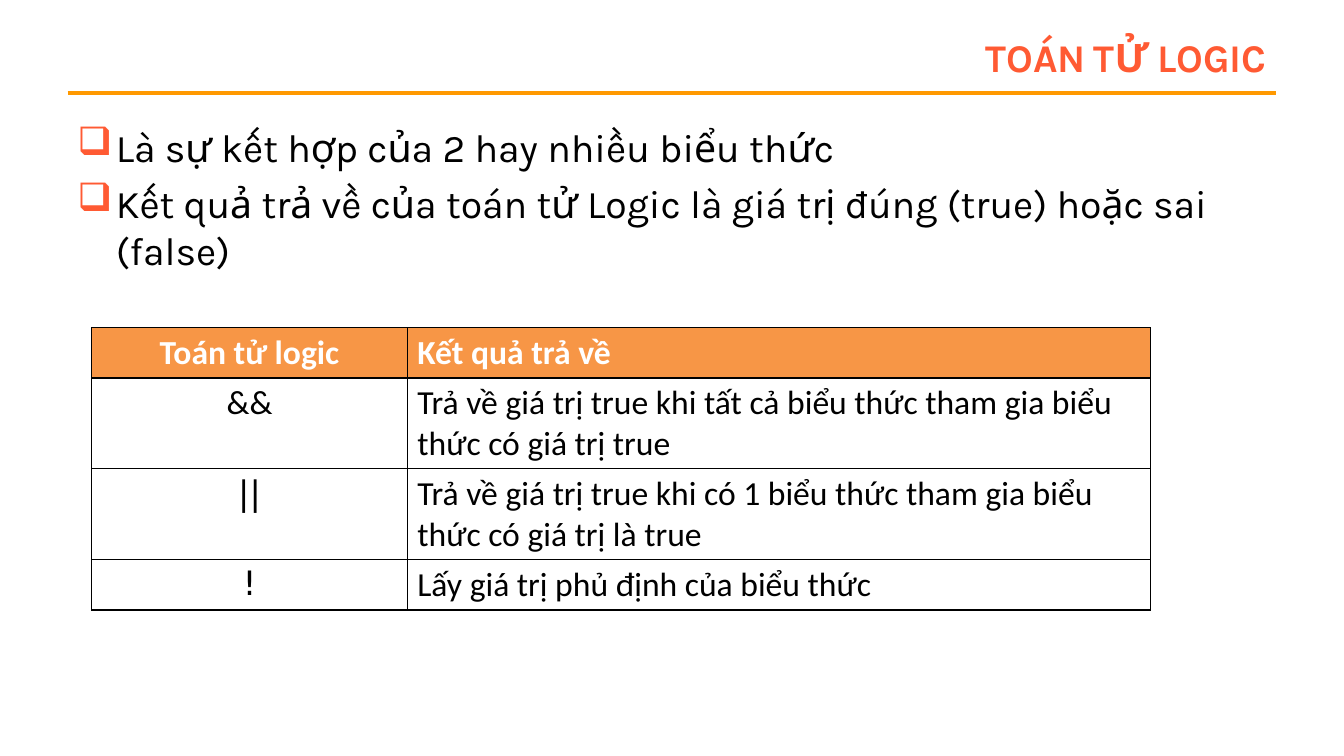
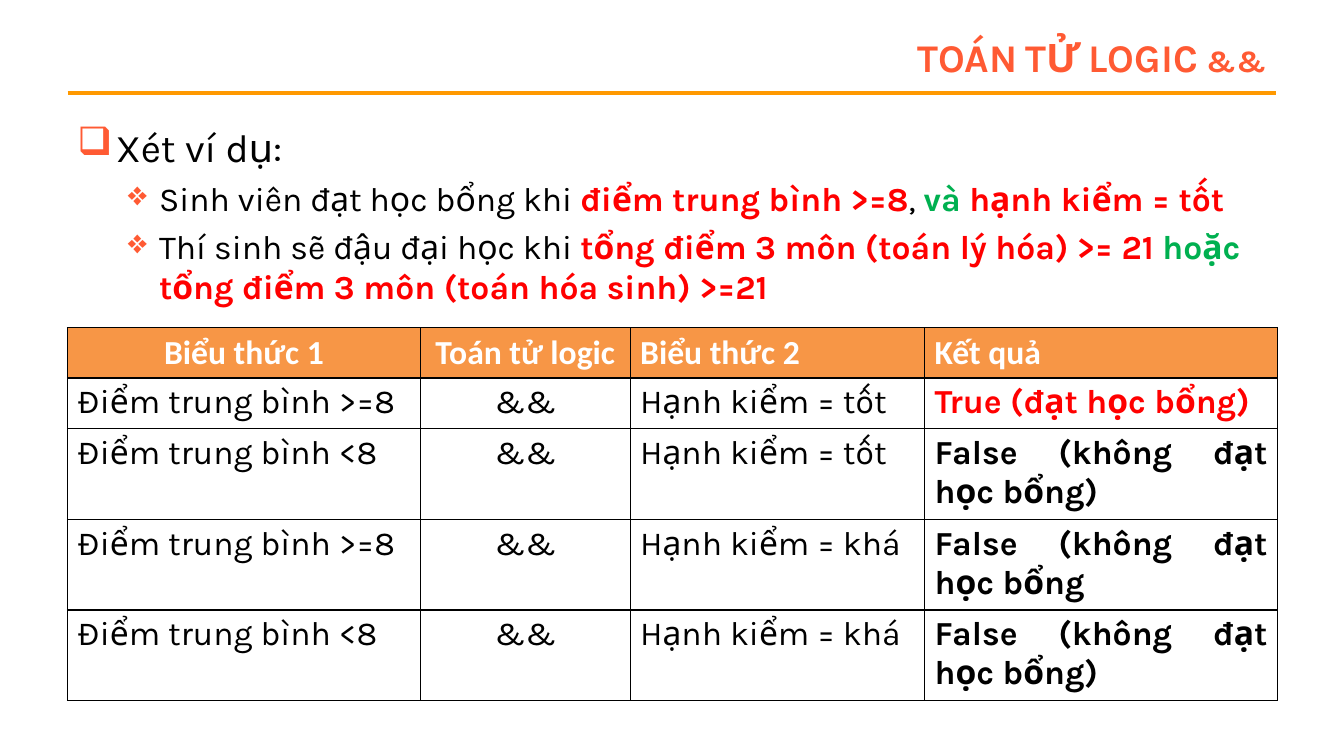
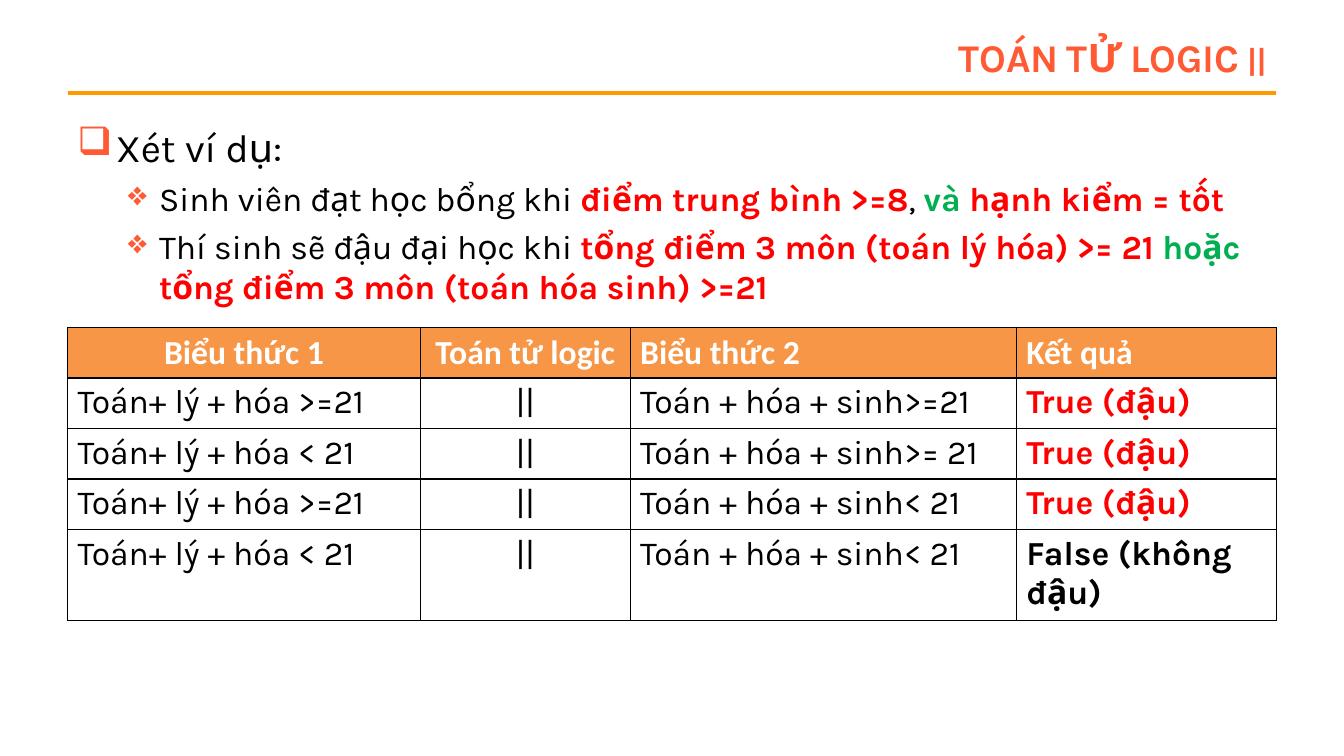
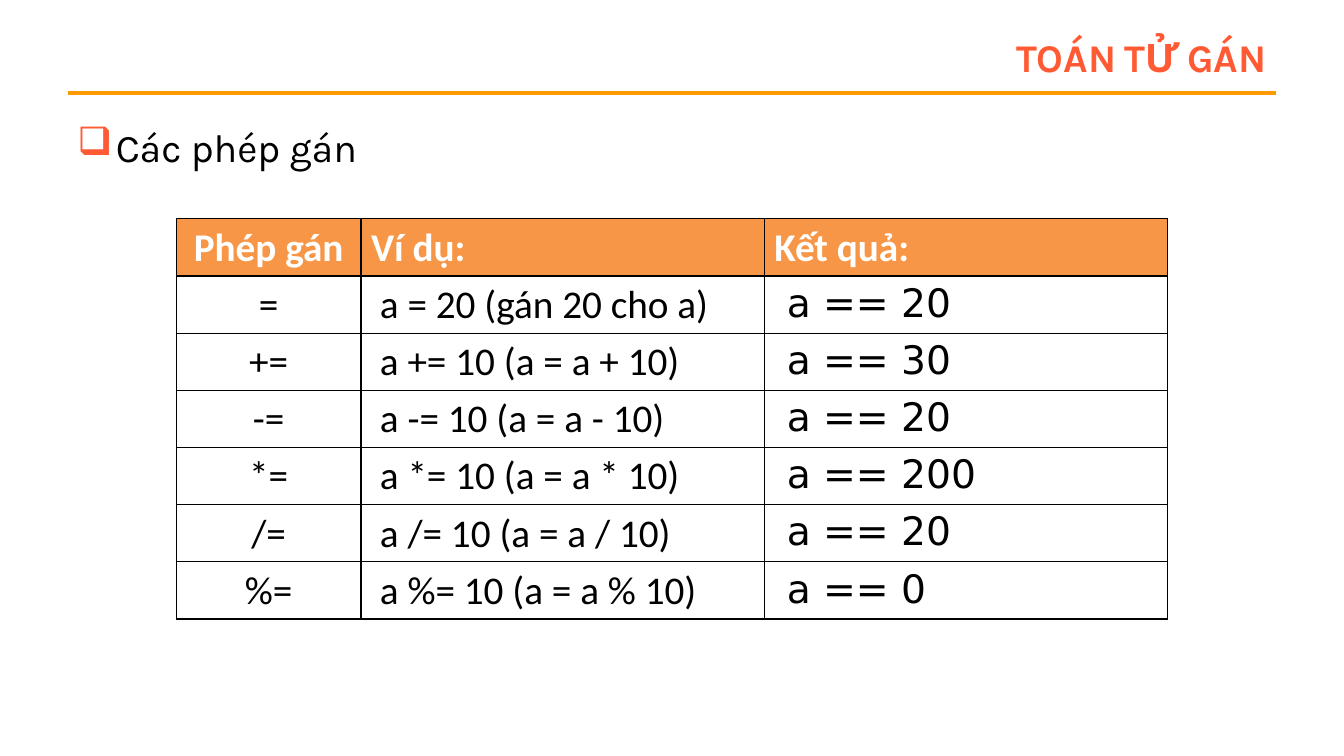
from lxml import etree
from pptx import Presentation
from pptx.dml.color import RGBColor
from pptx.enum import shapes, text
from pptx.oxml.ns import qn
from pptx.util import Inches, Pt

# Shared look
ACCENT, RULE, HEADER = "FF5A33", "FF9900", "F79646"
BLACK, WHITE, RED, GREEN = "000000", "FFFFFF", "FF0000", "00B050"
KARLA, CALIBRI, DEJAVU = "Karla", "Calibri", "DejaVu Sans"
ALIGN = {"l": text.PP_ALIGN.LEFT, "c": text.PP_ALIGN.CENTER,
         "r": text.PP_ALIGN.RIGHT, "j": text.PP_ALIGN.JUSTIFY}
LEFT, RIGHT = 0.67, 12.66
ROW_HEIGHT = 0.41
LEVELS = [
    {"bullet": "❑", "margin": 0.38, "hang": 0.38, "size": 28, "before": 6.5},
    {"bullet": "❖", "margin": 0.81, "hang": 0.31, "size": 24, "before": 5.5},
]

# Run styles: colour, bold
PLAIN, KEY, JOINER = (BLACK, False), (RED, True), (GREEN, True)

# Content: each bullet is a level and its runs
EXAMPLES = [
    (0, [("Xét ví dụ:", PLAIN)]),
    (1, [("Sinh viên đạt học bổng khi ", PLAIN), ("điểm trung bình >=8", KEY),
         (", ", PLAIN), ("và ", JOINER), ("hạnh kiểm = tốt", KEY)]),
    (1, [("Thí sinh sẽ đậu đại học khi ", PLAIN),
         ("tổng điểm 3 môn (toán lý hóa) >= 21 ", KEY), ("hoặc ", JOINER),
         ("tổng điểm 3 môn (toán hóa sinh) >=21", KEY)]),
]
EXPRESSION_HEAD = ["Biểu thức 1", "Toán tử logic", "Biểu thức 2", "Kết quả"]

# "fonts" and "aligns" hold one entry per column; "verdict" marks a bold last column
SLIDES = [
    {"title": "TOÁN TỬ LOGIC",
     "bullets": [
         (0, [("Là sự kết hợp của 2 hay nhiều biểu thức", PLAIN)]),
         (0, [("Kết quả trả về của toán tử Logic là giá trị đúng (true) "
               "hoặc sai (false)", PLAIN)])],
     "table": {
         "at": (0.91, 3.25), "columns": [3.13, 7.37], "size": 24,
         "head_aligns": "cl", "aligns": "cl", "fonts": [DEJAVU, CALIBRI],
         "head": ["Toán tử logic", "Kết quả trả về"],
         "rows": [
             [("&&", CALIBRI), "Trả về giá trị true khi tất cả biểu thức tham gia "
              "biểu thức có giá trị true"],
             ["||", "Trả về giá trị true khi có 1 biểu thức tham gia "
              "biểu thức có giá trị là true"],
             ["!", "Lấy giá trị phủ định của biểu thức"]]}},
    {"title": "TOÁN TỬ LOGIC &&",
     "bullets": EXAMPLES,
     "table": {
         "at": (LEFT, 3.25), "columns": [3.5, 2.08, 2.92, 3.5], "size": 24,
         "head_aligns": "ccll", "aligns": "jcjj", "fonts": [KARLA] * 4,
         "verdict": True, "head": EXPRESSION_HEAD,
         "rows": [
             ["Điểm trung bình >=8", "&&", "Hạnh kiểm = tốt", "True (đạt học bổng)"],
             ["Điểm trung bình <8", "&&", "Hạnh kiểm = tốt", "False (không đạt học bổng)"],
             ["Điểm trung bình >=8", "&&", "Hạnh kiểm = khá", "False (không đạt học bổng"],
             ["Điểm trung bình <8", "&&", "Hạnh kiểm = khá", "False (không đạt học bổng)"]]}},
    {"title": "TOÁN TỬ LOGIC ||",
     "bullets": EXAMPLES,
     "table": {
         "at": (LEFT, 3.25), "columns": [3.5, 2.08, 3.83, 2.58], "size": 24,
         "head_aligns": "ccll", "aligns": "jcjl", "fonts": [KARLA] * 4,
         "verdict": True, "head": EXPRESSION_HEAD,
         "rows": [
             ["Toán+ lý + hóa >=21", "||", "Toán + hóa + sinh>=21", "True (đậu)"],
             ["Toán+ lý + hóa < 21", "||", "Toán + hóa + sinh>= 21", "True (đậu)"],
             ["Toán+ lý + hóa >=21", "||", "Toán + hóa + sinh< 21", "True (đậu)"],
             ["Toán+ lý + hóa < 21", "||", "Toán + hóa + sinh< 21", "False (không đậu)"]]}},
    {"title": "TOÁN TỬ GÁN",
     "bullets": [(0, [("Các phép gán", PLAIN)])],
     "table": {
         "at": (1.75, 2.17), "columns": [1.83, 4, 4], "size": 28,
         "head_aligns": "cll", "aligns": "cll", "fonts": [CALIBRI, CALIBRI, DEJAVU],
         "head": ["Phép gán", "Ví dụ:", "Kết quả:"],
         "rows": [
             ["=", " a = 20 (gán 20 cho a)", " a == 20"],
             ["+=", " a += 10 (a = a + 10)", " a == 30"],
             ["-=", " a -= 10 (a = a - 10)", " a == 20"],
             ["*=", " a *= 10 (a = a * 10)", " a == 200"],
             ["/=", " a /= 10 (a = a / 10)", " a == 20"],
             ["%=", " a %= 10 (a = a % 10)", " a == 0"]]}},
]


def color(value):
    return RGBColor.from_string(value)


def add_run(para, words, ink, **font):
    span = para.add_run()
    span.text = words
    span.font.color.rgb = color(ink)
    for name, value in font.items():
        setattr(span.font, name, value)
    return span


def add_box(page, left, top, width, height, anchor):
    frame = page.shapes.add_textbox(*map(Inches, (left, top, width, height))).text_frame
    frame.word_wrap = True
    frame.vertical_anchor = anchor
    return frame


def add_heading(page, title):
    rule = page.shapes.add_connector(shapes.MSO_CONNECTOR.STRAIGHT, Inches(LEFT),
                                     Inches(0.92), Inches(RIGHT), Inches(0.92))
    rule.line.color.rgb = color(RULE)
    rule.line.width = Pt(3)
    etree.SubElement(rule._element.spPr, qn("a:effectLst"))
    para = add_box(page, 3, 0.3, 9.66, 0.53, text.MSO_ANCHOR.MIDDLE).paragraphs[0]
    para.alignment = ALIGN["r"]
    span = add_run(para, title, ACCENT, name=KARLA, size=Pt(28), bold=True)
    span.font._element.set("cap", "small")


def set_bullet(para, level):
    props = para._p.get_or_add_pPr()
    props.set("marL", str(Inches(level["margin"])))
    props.set("indent", str(-Inches(level["hang"])))
    ink = etree.SubElement(props, qn("a:buClr"))
    etree.SubElement(ink, qn("a:srgbClr"), val=ACCENT)
    etree.SubElement(props, qn("a:buChar"), char=level["bullet"])


def add_bullets(page, bullets):
    frame = add_box(page, LEFT, 1.17, 12, 5.75, text.MSO_ANCHOR.TOP)
    for index, (depth, runs) in enumerate(bullets):
        para = frame.add_paragraph() if index else frame.paragraphs[0]
        level = LEVELS[depth]
        para.level = depth
        para.space_before = Pt(level["before"])
        set_bullet(para, level)
        for words, (ink, bold) in runs:
            add_run(para, words, ink, name=KARLA, size=Pt(level["size"]), bold=bold)


def set_borders(cell):
    props = cell._tc.get_or_add_tcPr()
    for index, side in enumerate(("lnL", "lnR", "lnT", "lnB")):
        line = etree.Element(qn("a:" + side), w=str(Pt(1)))
        fill = etree.SubElement(line, qn("a:solidFill"))
        etree.SubElement(fill, qn("a:srgbClr"), val=BLACK)
        props.insert(index, line)


def add_table(page, data):
    lines = [data["head"]] + data["rows"]
    widths = data["columns"]
    size = (*data["at"], sum(widths), ROW_HEIGHT * len(lines))
    table = page.shapes.add_table(len(lines), len(widths), *map(Inches, size)).table
    table.horz_banding = table.first_row = False
    for column, width in zip(table.columns, widths):
        column.width = Inches(width)
    for r, line in enumerate(lines):
        for c, entry in enumerate(line):
            head = r == 0
            words, font = entry if isinstance(entry, tuple) else (entry, data["fonts"][c])
            verdict = data.get("verdict", False) and c == len(widths) - 1
            ink = WHITE if head else RED if verdict and words.startswith("True") else BLACK
            cell = table.cell(r, c)
            set_borders(cell)
            cell.fill.solid()
            cell.fill.fore_color.rgb = color(HEADER if head else WHITE)
            para = cell.text_frame.paragraphs[0]
            para.alignment = ALIGN[data["head_aligns" if head else "aligns"][c]]
            add_run(para, words, ink, name=CALIBRI if head else font,
                    size=Pt(data["size"]), bold=head or verdict)


def main():
    deck = Presentation()
    deck.slide_width, deck.slide_height = Inches(13.33), Inches(7.5)
    for slide in SLIDES:
        page = deck.slides.add_slide(deck.slide_layouts[6])
        add_heading(page, slide["title"])
        add_bullets(page, slide["bullets"])
        add_table(page, slide["table"])
    deck.save("out.pptx")


if __name__ == "__main__":
    main()
